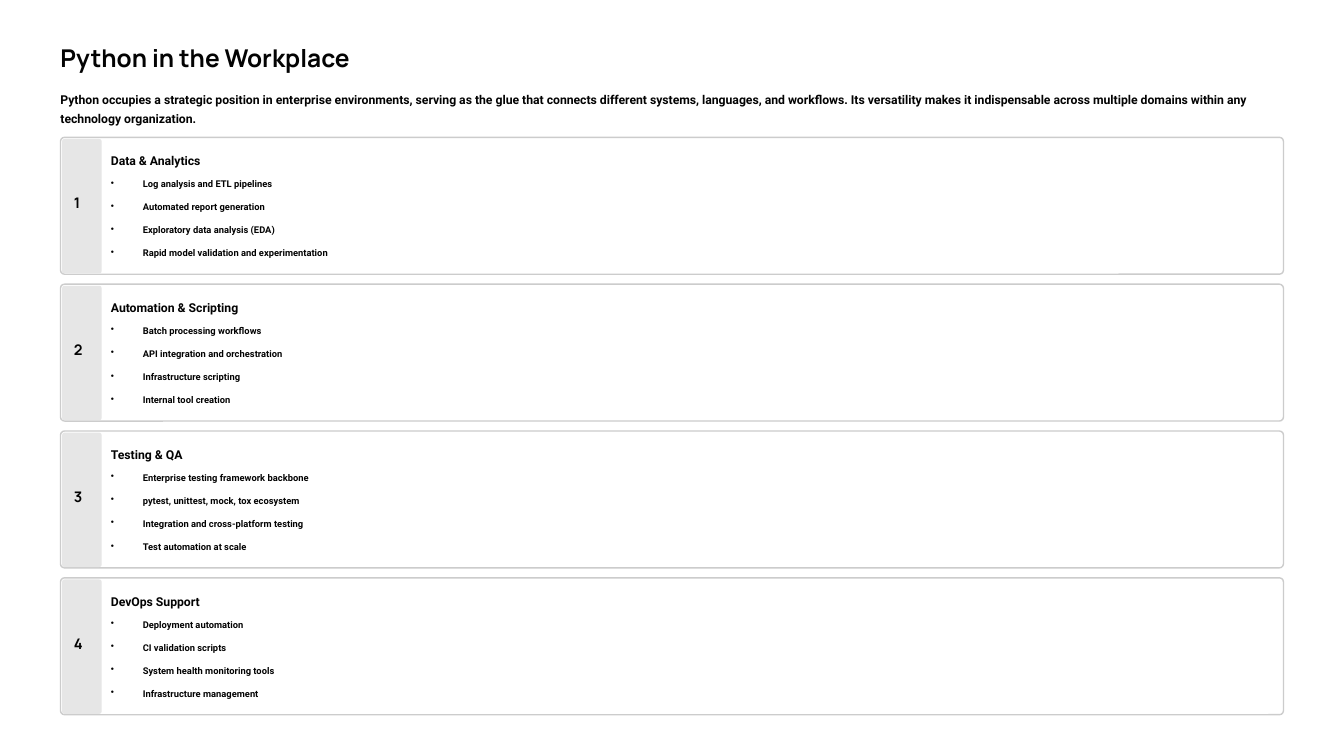
from lxml import etree
from pptx import Presentation
from pptx.dml.color import RGBColor
from pptx.enum import shapes, text
from pptx.oxml.ns import qn
from pptx.util import Inches, Pt

TITLE = "Python in the Workplace"
INTRO = (
    "Python occupies a strategic position in enterprise environments, serving as "
    "the glue that connects different systems, languages, and workflows. Its "
    "versatility makes it indispensable across multiple domains within any "
    "technology organization."
)
CARDS = [
    ("Data & Analytics", [
        "Log analysis and ETL pipelines",
        "Automated report generation",
        "Exploratory data analysis (EDA)",
        "Rapid model validation and experimentation",
    ]),
    ("Automation & Scripting", [
        "Batch processing workflows",
        "API integration and orchestration",
        "Infrastructure scripting",
        "Internal tool creation",
    ]),
    ("Testing & QA", [
        "Enterprise testing framework backbone",
        "pytest, unittest, mock, tox ecosystem",
        "Integration and cross-platform testing",
        "Test automation at scale",
    ]),
    ("DevOps Support", [
        "Deployment automation",
        "CI validation scripts",
        "System health monitoring tools",
        "Infrastructure management",
    ]),
]

INK = RGBColor(0x03, 0x03, 0x03)
WHITE = RGBColor(0xFF, 0xFF, 0xFF)
BORDER = RGBColor(0xCC, 0xCC, 0xCC)
STRIP = RGBColor(0xE6, 0xE6, 0xE6)
HEAD, BODY = "Manrope", "Roboto"

LEFT, WIDTH = 0.72, 14.56
TOP, HEIGHT, PITCH = 1.635, 1.63, 1.748
INDENT = 0.38


def add_bullet(para):
    props = para._p.get_or_add_pPr()
    props.set("marL", str(Inches(INDENT)))
    props.set("indent", str(-Inches(INDENT)))
    etree.SubElement(props, qn("a:buChar")).set("char", "•")


def put_text(slide, lines, box, font=BODY, size=10.5, lead=16.5, gap=0,
             bullet=False, wrap=True, holder=None):
    """Write lines into a new text box, or into the given placeholder."""
    area = [Inches(n) for n in box]
    shape = holder or slide.shapes.add_textbox(*area)
    shape.left, shape.top, shape.width, shape.height = area
    frame = shape.text_frame
    frame.margin_left = frame.margin_right = 0
    frame.margin_top = frame.margin_bottom = 0
    frame.word_wrap = wrap
    frame.auto_size = text.MSO_AUTO_SIZE.NONE
    frame.vertical_anchor = text.MSO_ANCHOR.TOP
    frame.text = "\n".join(lines)
    for para in frame.paragraphs:
        para.alignment = text.PP_ALIGN.LEFT
        para.line_spacing = Pt(lead)
        para.space_after = Pt(gap)
        if bullet:
            add_bullet(para)
        style = para.runs[0].font
        style.name, style.size, style.bold = font, Pt(size), True
        style.color.rgb = INK


def add_panel(slide, box, round_by, fill, line=None):
    panel = slide.shapes.add_shape(
        shapes.MSO_SHAPE.ROUNDED_RECTANGLE, *[Inches(n) for n in box])
    panel.adjustments[0] = round_by
    panel.shadow.inherit = False
    panel.fill.solid()
    panel.fill.fore_color.rgb = fill
    if line:
        panel.line.color.rgb = line
        panel.line.width = Pt(1.2)
    else:
        panel.line.fill.background()


def add_card(slide, index, name, points):
    top = TOP + index * PITCH
    add_panel(slide, (LEFT, top, WIDTH, HEIGHT), 0.03, WHITE, BORDER)
    add_panel(slide, (LEFT + 0.02, top + 0.02, 0.47, 1.6), 0.06, STRIP)
    put_text(slide, [str(index + 1)], (0.88, top + 0.71, 0.18, 0.22),
             font=HEAD, size=12.5, lead=12.5)
    put_text(slide, [name], (1.32, top + 0.14, 13.82, 0.23))
    put_text(slide, points, (1.32, top + 0.44, 13.82, 1.06),
             size=8, lead=13, gap=6.8, bullet=True)


def main():
    deck = Presentation()
    deck.slide_width, deck.slide_height = Inches(16), Inches(9)
    slide = deck.slides.add_slide(deck.slide_layouts[5])
    slide.background.fill.solid()
    slide.background.fill.fore_color.rgb = WHITE
    put_text(slide, [TITLE], (LEFT, 0.5, 3.47, 0.37), font=HEAD, size=21,
             lead=26, wrap=False, holder=slide.shapes.title)
    put_text(slide, [INTRO], (LEFT, 1.04, WIDTH, 0.47))
    for index, (name, points) in enumerate(CARDS):
        add_card(slide, index, name, points)
    deck.save("out.pptx")


if __name__ == "__main__":
    main()
